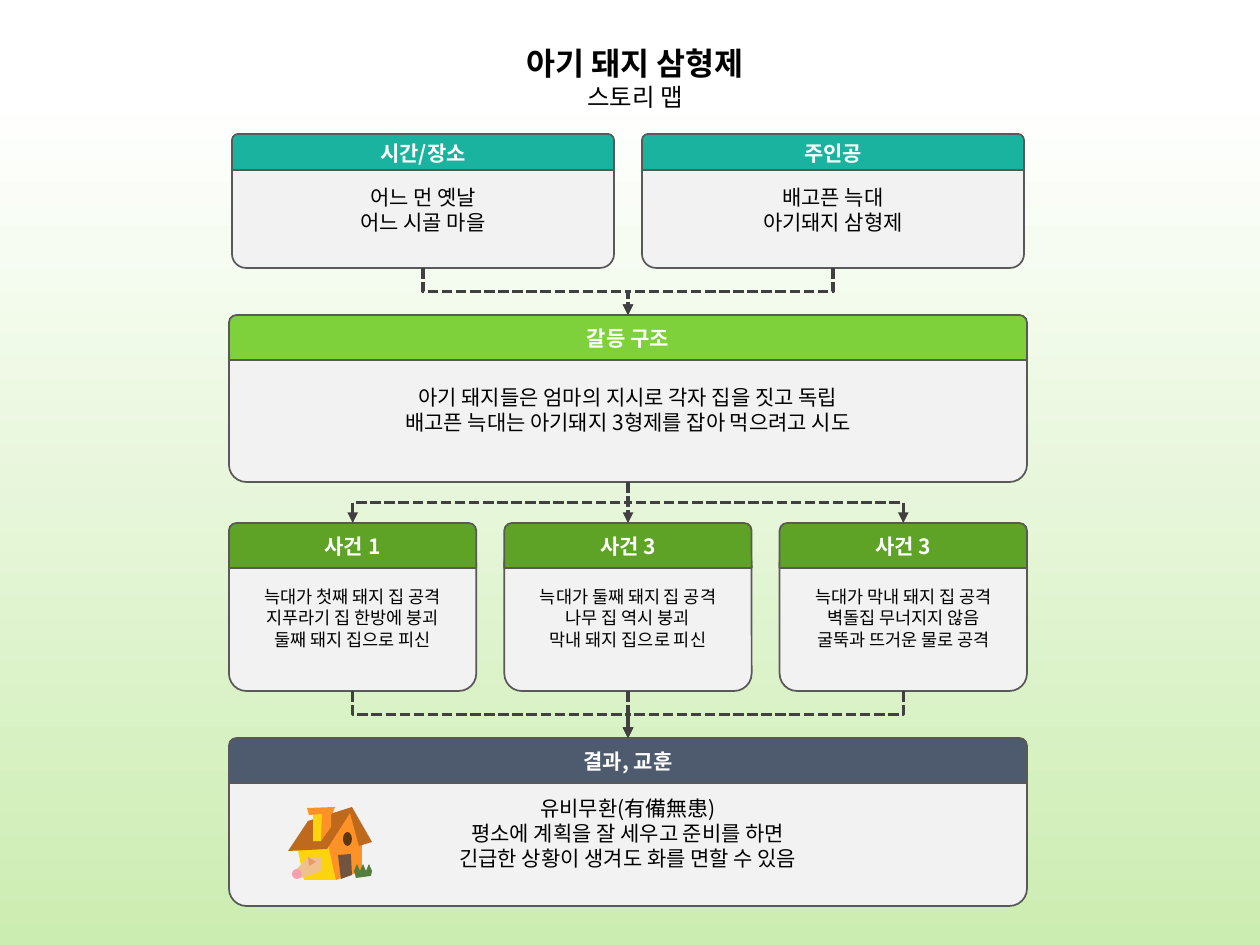
"""Build a one-page story map of the three little pigs."""
from itertools import pairwise, product

from lxml.etree import SubElement
from pptx import Presentation
from pptx.dml.color import RGBColor
from pptx.enum.dml import MSO_LINE
from pptx.enum.shapes import MSO_CONNECTOR, MSO_SHAPE
from pptx.enum.text import MSO_ANCHOR, MSO_AUTO_SIZE, PP_ALIGN
from pptx.oxml.ns import qn
from pptx.util import Emu, Pt

PX = 914400 / 126
FONT = "Noto Sans CJK KR"
COLORS = {
    "white": "FFFFFF", "black": "000000", "mint": "CCEDB1", "panel": "F2F2F2",
    "border": "595959", "link": "404040", "teal": "1AB39F", "lime": "7FD13B",
    "green": "5FA326", "slate": "4E5B6F", "yellow": "FCD30F", "roof": "BE691C",
    "orange": "FE9227", "window": "5A3711", "brown": "71543F", "skin": "EFC28D",
    "pink": "F5A0AE", "ear": "E89B66", "grass": "547E3E",
}

TITLE = [("아기 돼지 삼형제", 18, True), ("스토리 맵", 14, False)]
LEFT, SPAN, GAP = 229, 798, 28
ROWS = [
    {"inset": 3, "top": 134, "header": 36, "bottom": 268, "color": "teal", "size": 12,
     "cards": [
         ("시간/장소", ["어느 먼 옛날", "어느 시골 마을"]),
         ("주인공", ["배고픈 늑대", "아기돼지 삼형제"])]},
    {"inset": 0, "top": 315, "header": 45, "bottom": 482, "color": "lime", "size": 12,
     "cards": [
         ("갈등 구조", ["아기 돼지들은 엄마의 지시로 각자 집을 짓고 독립",
                    "배고픈 늑대는 아기돼지 3형제를 잡아 먹으려고 시도"])]},
    {"inset": 0, "top": 523, "header": 45, "bottom": 691, "color": "green", "size": 10,
     "cards": [
         ("사건 1", ["늑대가 첫째 돼지 집 공격", "지푸라기 집 한방에 붕괴", "둘째 돼지 집으로 피신"]),
         ("사건 3", ["늑대가 둘째 돼지 집 공격", "나무 집 역시 붕괴", "막내 돼지 집으로 피신"]),
         ("사건 3", ["늑대가 막내 돼지 집 공격", "벽돌집 무너지지 않음\v굴뚝과 뜨거운 물로 공격"])]},
    {"inset": 0, "top": 738, "header": 45, "bottom": 906, "color": "slate", "size": 12,
     "cards": [
         ("결과, 교훈", ["유비무환(有備無患)", "평소에 계획을 잘 세우고 준비를 하면",
                     "긴급한 상황이 생겨도 화를 면할 수 있음"])]},
]
HOUSE_LEFT, HOUSE_TOP = 288, 807
BLADES = [(66 + 3 * step, 57 if step % 2 else 64) for step in range(7)]
HOUSE = [
    ("yellow", [(9, 38), (16, 73), (48, 73), (48, 35)]),
    ("orange", [(48, 73), (74, 64), (74, 29), (62, 6), (39, 32)]),
    ("roof", [(71, 39), (84, 35), (64, 0), (20, 14), (0, 44), (39, 42), (62, 6)]),
    ("orange", [(43, 20), (43, 4), (25, 6), (25, 34), (33, 34)]),
    ("yellow", [(34, 5), (25, 6), (25, 34), (33, 34)]),
    ("orange", [(45, 6), (47, 0), (19, 1), (21, 8)]),
    ("brown", [(63, 47), (50, 48), (53, 72), (64, 68)]),
    ("skin", [(20, 50), (9, 62), (13, 71), (34, 64), (33, 50)]),
    ("ear", [(20, 50), (21, 59), (28, 55)]),
    ("grass", [(68, 71), *BLADES, (83, 69)]),
]
HOUSE_OVALS = [("window", 55, 25, 9, 14), ("pink", 4, 62, 10, 10)]


def px(value):
    return Emu(round(value * PX))


def rgb(name):
    return RGBColor.from_string(COLORS[name])


def paint(shape, color):
    shape.shadow.inherit = False
    shape.fill.solid()
    shape.fill.fore_color.rgb = rgb(color)


def write(shape, lines, color):
    frame = shape.text_frame
    frame.word_wrap = True
    for index, (text, size, bold) in enumerate(lines):
        para = frame.paragraphs[0] if index == 0 else frame.add_paragraph()
        para.text = text
        para.alignment = PP_ALIGN.CENTER
        font = para.font
        font.size, font.bold, font.name = Pt(size), bold, FONT
        font.color.rgb = rgb(color)
        SubElement(font._rPr, qn("a:ea"), typeface=FONT)


def add_box(page, kind, left, top, width, height, color):
    box = page.shapes.add_shape(kind, px(left), px(top), px(width), px(height))
    paint(box, color)
    box.line.color.rgb = rgb("border")
    box.line.width = Pt(1)
    box.text_frame.vertical_anchor = MSO_ANCHOR.MIDDLE
    return box


def card_places(row):
    count = len(row["cards"])
    width = (SPAN - 2 * row["inset"] - GAP * (count - 1)) / count
    lefts = [LEFT + row["inset"] + index * (width + GAP) for index in range(count)]
    return lefts, width


def centers(row):
    lefts, width = card_places(row)
    return [left + width / 2 for left in lefts]


def add_row(page, row):
    lefts, width = card_places(row)
    body_top = row["top"] + row["header"] // 2
    for left, (heading, lines) in zip(lefts, row["cards"]):
        body = add_box(page, MSO_SHAPE.ROUNDED_RECTANGLE, left, body_top,
                       width, row["bottom"] - body_top, "panel")
        body.adjustments[0] = 0.12
        write(body, [(line, row["size"], False) for line in lines], "black")
        header = add_box(page, MSO_SHAPE.ROUND_2_SAME_RECTANGLE, left, row["top"],
                         width, row["header"], row["color"])
        write(header, [(heading, 12, True)], "white")


def add_link(page, start, end, top, bottom):
    drop, reach = bottom - top, abs(end - start)
    left = (start + end - drop) / 2
    upper = (top + bottom - reach) / 2
    link = page.shapes.add_connector(MSO_CONNECTOR.ELBOW, px(left), px(upper),
                                     px(left + drop), px(upper + reach))
    properties = link._element.spPr
    frame = properties.find(qn("a:xfrm"))
    frame.set("rot", "16200000" if end > start else "5400000")
    if end > start:
        frame.set("flipH", "1")
    link.line.color.rgb = rgb("link")
    link.line.width = 0
    link.line.dash_style = MSO_LINE.SQUARE_DOT
    SubElement(properties.find(qn("a:ln")), qn("a:tailEnd"), type="triangle")
    SubElement(properties, qn("a:effectLst"))


def add_house(page):
    house = page.shapes.add_group_shape()
    for color, points in HOUSE:
        first, *rest = [(HOUSE_LEFT + x, HOUSE_TOP + y) for x, y in points]
        builder = house.shapes.build_freeform(*first, scale=PX)
        builder.add_line_segments(rest, close=True)
        part = builder.convert_to_shape()
        paint(part, color)
        part.line.fill.background()
    for color, x, y, width, height in HOUSE_OVALS:
        oval = house.shapes.add_shape(MSO_SHAPE.OVAL, px(HOUSE_LEFT + x),
                                      px(HOUSE_TOP + y), px(width), px(height))
        paint(oval, color)
        oval.line.fill.background()


def main():
    deck = Presentation()
    deck.slide_width, deck.slide_height = px(1260), px(945)
    page = deck.slides.add_slide(deck.slide_layouts[5])
    fill = page.background.fill
    fill.gradient()
    fill.gradient_angle = 270
    for stop, position, color in zip(fill.gradient_stops, (0.1, 1), ("white", "mint")):
        stop.position = position
        stop.color.rgb = rgb(color)

    title = page.shapes.title
    title.left, title.top, title.width, title.height = map(px, (315, 38, 640, 81))
    title.text_frame.vertical_anchor = MSO_ANCHOR.TOP
    title.text_frame.auto_size = MSO_AUTO_SIZE.NONE
    write(title, TITLE, "black")

    for row in ROWS:
        add_row(page, row)
    for upper, lower in pairwise(ROWS):
        for start, end in product(centers(upper), centers(lower)):
            add_link(page, start, end, upper["bottom"], lower["top"])
    add_house(page)
    deck.save("out.pptx")


if __name__ == "__main__":
    main()
